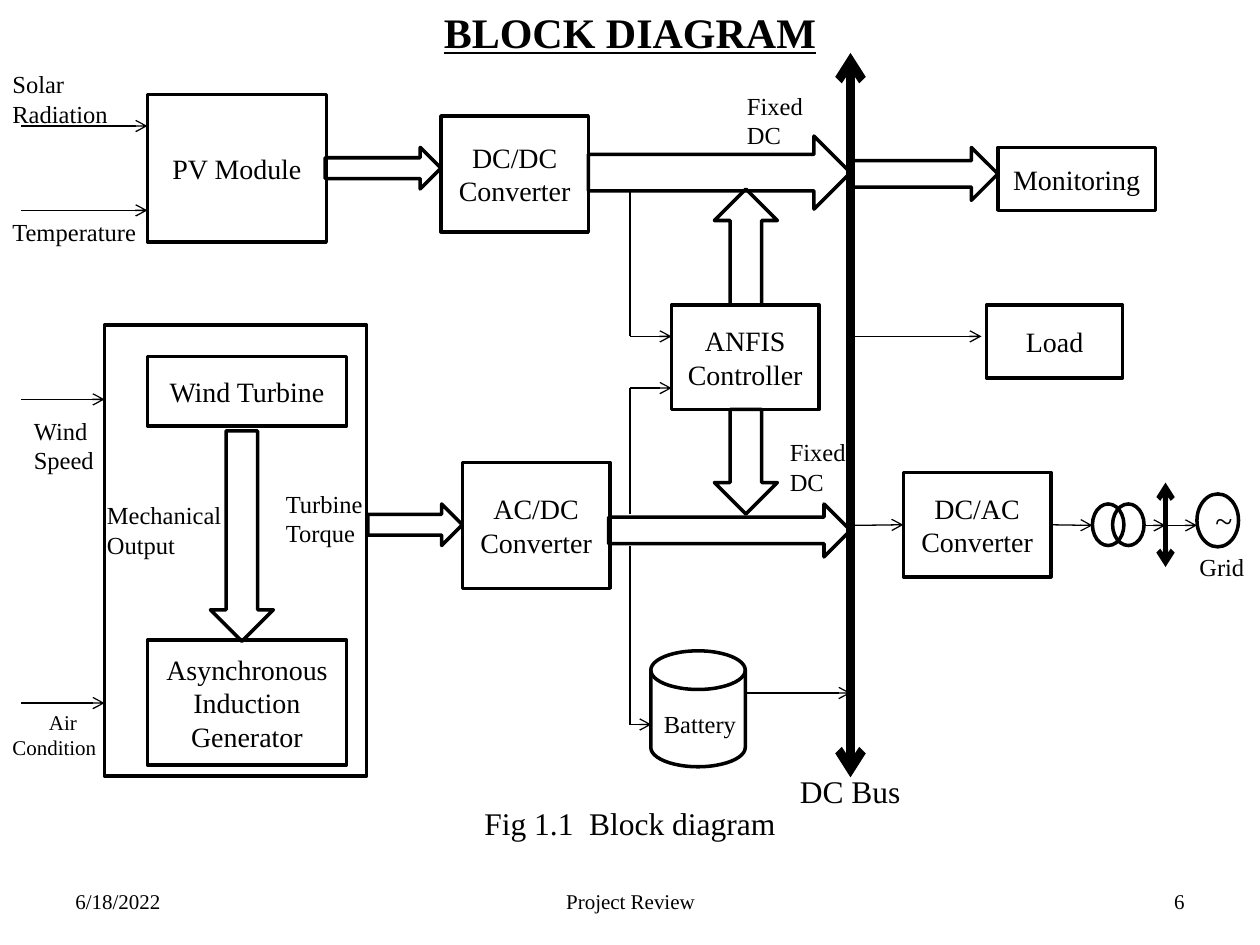
"""Build a block diagram slide of a solar and wind hybrid power system."""
from lxml import etree
from pptx import Presentation
from pptx.dml.color import RGBColor
from pptx.enum.shapes import MSO_CONNECTOR, MSO_SHAPE
from pptx.enum.text import MSO_ANCHOR, PP_ALIGN
from pptx.oxml.ns import qn
from pptx.util import Inches, Pt

BLACK = RGBColor(0x00, 0x00, 0x00)
WHITE = RGBColor(0xFF, 0xFF, 0xFF)
FONT = "Times New Roman"
LEFT, CENTER, RIGHT = PP_ALIGN.LEFT, PP_ALIGN.CENTER, PP_ALIGN.RIGHT
TOP, MIDDLE = MSO_ANCHOR.TOP, MSO_ANCHOR.MIDDLE
STRAIGHT = MSO_CONNECTOR.STRAIGHT
RECTANGLE, OVAL = MSO_SHAPE.RECTANGLE, MSO_SHAPE.OVAL
RIGHT_ARROW = MSO_SHAPE.RIGHT_ARROW
UP_ARROW, DOWN_ARROW = MSO_SHAPE.UP_ARROW, MSO_SHAPE.DOWN_ARROW
DRUM = MSO_SHAPE.FLOWCHART_DIRECT_ACCESS_STORAGE

prs = Presentation()
prs.slide_width, prs.slide_height = Inches(10), Inches(7.5)
slide = prs.slides.add_slide(prs.slide_layouts[6])


def write(frame, text, size, align, anchor):
    frame.text = text
    frame.word_wrap = True
    frame.vertical_anchor = anchor
    for paragraph in frame.paragraphs:
        paragraph.alignment = align
        for run in paragraph.runs:
            run.font.name = FONT
            run.font.size = Pt(size)
            run.font.color.rgb = BLACK


def connect(x1, y1, x2, y2, width=0.75, ends=("tailEnd",)):
    link = slide.shapes.add_connector(
        STRAIGHT, Inches(x1), Inches(y1), Inches(x2), Inches(y2))
    link.line.color.rgb = BLACK
    link.line.width = Pt(width)
    for end in ends:
        etree.SubElement(link.line._get_or_add_ln(), qn(f"a:{end}"), type="arrow")
    etree.SubElement(link._element.spPr, qn("a:effectLst"))
    return link


blocks = [
    ("PV Module", 1.17, 0.75, 1.42, 1.17),
    ("", 0.83, 2.58, 2.08, 3.58),
    ("Wind Turbine", 1.17, 2.83, 1.58, 0.55),
    ("Asynchronous Induction Generator", 1.17, 5.08, 1.58, 0.99),
    ("ANFIS Controller", 5.33, 2.42, 1.17, 0.83),
    ("DC/DC Converter", 3.5, 0.92, 1.17, 0.92),
    ("AC/DC Converter", 3.67, 3.67, 1.17, 1),
    ("Monitoring", 7.92, 1.17, 1.25, 0.5),
    ("Load", 7.83, 2.42, 1.08, 0.58),
    ("DC/AC Converter", 7.17, 3.75, 1.17, 0.83),
]
outlines = [
    (RIGHT_ARROW, 4.67, 1.08, 2.08, 0.58),
    (RIGHT_ARROW, 4.83, 4, 1.92, 0.42),
    (UP_ARROW, 5.67, 1.5, 0.5, 0.92),
    (DOWN_ARROW, 5.67, 3.25, 0.5, 0.83),
    (RIGHT_ARROW, 2.58, 1.17, 0.92, 0.33),
    (RIGHT_ARROW, 2.92, 4, 0.75, 0.33),
    (OVAL, 8.67, 4, 0.25, 0.33),
    (OVAL, 8.83, 4, 0.25, 0.33),
    (DOWN_ARROW, 1.67, 3.42, 0.5, 1.67),
    (RIGHT_ARROW, 6.75, 1.17, 1.17, 0.42),
    (DRUM, 5.08, 5.25, 0.92, 0.75),
    (OVAL, 9.5, 3.92, 0.33, 0.42),
]
parts = [(RECTANGLE, *box, name, 16) for name, *box in blocks]
parts += [(*outline, "", 16) for outline in outlines[:-1]]
parts.append((*outlines[-1], "~", 18))

stages = {}
for kind, x, y, w, h, name, size in parts:
    part = slide.shapes.add_shape(kind, Inches(x), Inches(y), Inches(w), Inches(h))
    part.shadow.inherit = False
    part.line.color.rgb = BLACK
    part.line.width = Pt(2)
    if kind == RECTANGLE:
        part.fill.solid()
        part.fill.fore_color.rgb = WHITE
    else:
        part.fill.background()
    if kind == DRUM:
        part.rotation = 270
    if name:
        write(part.text_frame, name, size, CENTER, MIDDLE)
        stages[name] = part

signals = [
    (0.17, 1, 1.17, 1),
    (0.17, 1.67, 1.17, 1.67),
    (0.17, 3.17, 0.83, 3.17),
    (0.17, 5.58, 0.83, 5.58),
    (6.75, 2.67, 7.79, 2.67),
    (9.08, 4.17, 9.25, 4.17),
    (9.25, 4.17, 9.5, 4.17),
    (5, 2.67, 5.33, 2.67),
    (5, 3.08, 5.33, 3.08),
    (5, 5.75, 5.17, 5.75),
    (5.92, 5.5, 6.75, 5.5),
]
for signal in signals:
    connect(*signal)
for start, stop in [(4.08, 3.08), (1.5, 2.67), (4.33, 5.75)]:
    connect(5, start, 5, stop, ends=())
connect(6.75, 4.17, 7.17, 4.17).end_connect(stages["DC/AC Converter"], 1)
connect(8.33, 4.17, 8.67, 4.17).begin_connect(stages["DC/AC Converter"], 3)
for x, top, bottom, width in [(6.75, 0.42, 6.17, 5), (9.25, 3.83, 4.5, 3)]:
    connect(x, top, x, bottom, width, ("headEnd", "tailEnd"))

labels = [
    ("Solar Radiation", 0, 0.5, 1.25, 0.57, 14, LEFT, TOP),
    ("Temperature", 0, 1.67, 1.67, 0.34, 14, LEFT, TOP),
    ("Wind\nSpeed", 0.17, 3.25, 0.92, 0.57, 14, LEFT, TOP),
    ("Air Condition", 0, 5.58, 1, 0.5, 12, LEFT, TOP),
    ("DC Bus", 6.25, 6.08, 1.67, 0.4, 18, LEFT, TOP),
    ("Mechanical Output", 0.75, 3.92, 1.33, 0.57, 14, LEFT, TOP),
    ("Turbine Torque", 2.17, 3.83, 0.92, 0.57, 14, LEFT, TOP),
    ("Fixed DC", 5.83, 0.67, 0.75, 0.57, 14, LEFT, TOP),
    ("Fixed DC", 6.17, 3.42, 0.83, 0.57, 14, LEFT, TOP),
    ("Grid", 9.42, 4.33, 0.58, 0.34, 14, LEFT, TOP),
    ("Battery", 5.17, 5.58, 0.78, 0.34, 14, LEFT, TOP),
    ("BLOCK DIAGRAM", 0, 0, 10, 0.5, 24, CENTER, TOP),
    ("Fig 1.1  Block diagram", 0, 6.33, 10, 0.4, 18, CENTER, TOP),
    ("6/18/2022", 0.5, 6.95, 2.33, 0.4, 12, LEFT, MIDDLE),
    ("Project Review", 3.42, 6.95, 3.17, 0.4, 12, CENTER, MIDDLE),
    ("6", 7.17, 6.95, 2.33, 0.4, 12, RIGHT, MIDDLE),
]
captions = {}
for text, x, y, w, h, size, align, anchor in labels:
    caption = slide.shapes.add_textbox(Inches(x), Inches(y), Inches(w), Inches(h))
    write(caption.text_frame, text, size, align, anchor)
    captions[text] = caption.text_frame

captions["Battery"].word_wrap = False
air_condition = captions["Air Condition"].paragraphs[0]
air_condition._p.get_or_add_pPr().set("indent", str(Inches(0.29)))
title_font = captions["BLOCK DIAGRAM"].paragraphs[0].runs[0].font
title_font.bold = True
title_font.underline = True

prs.save("out.pptx")
